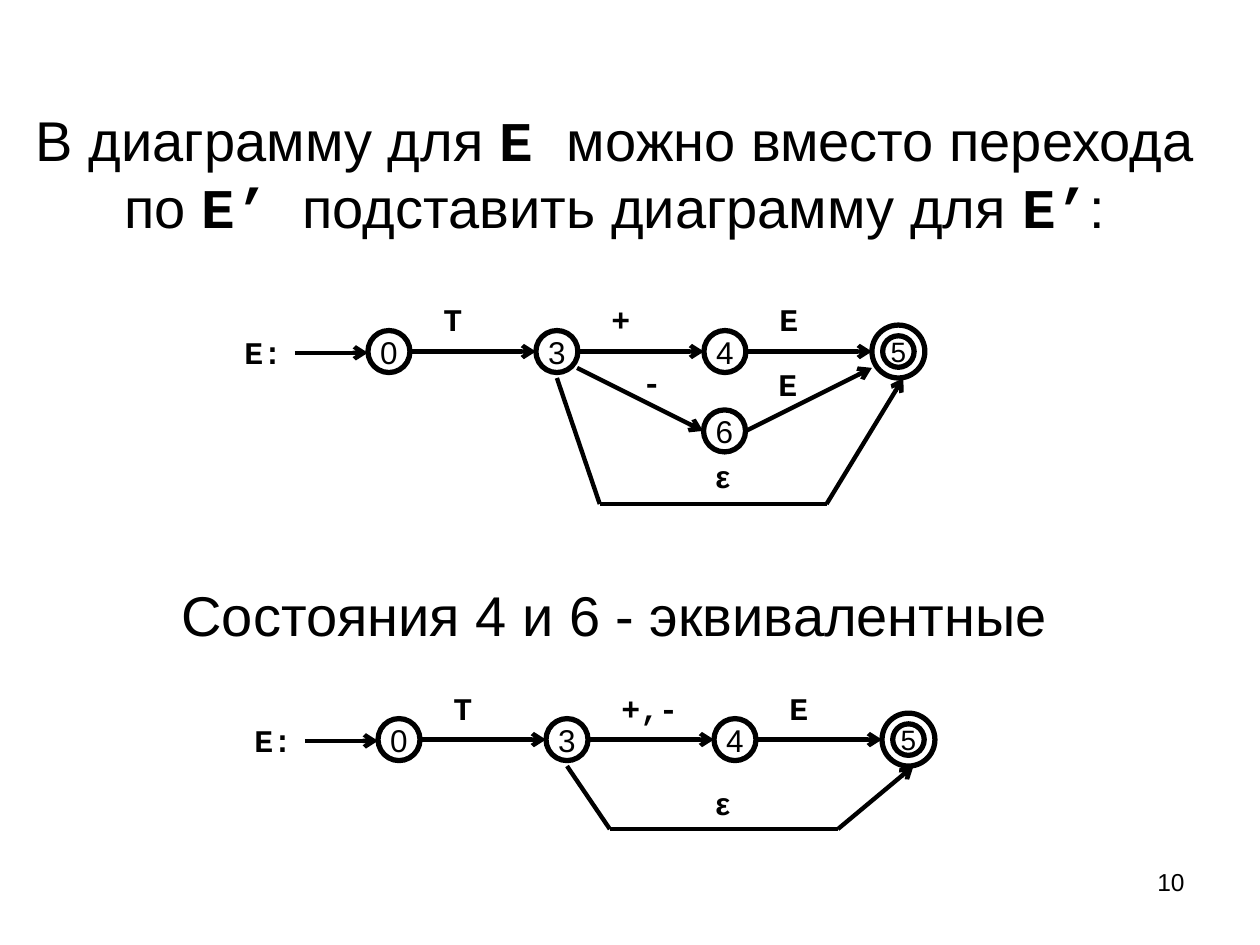
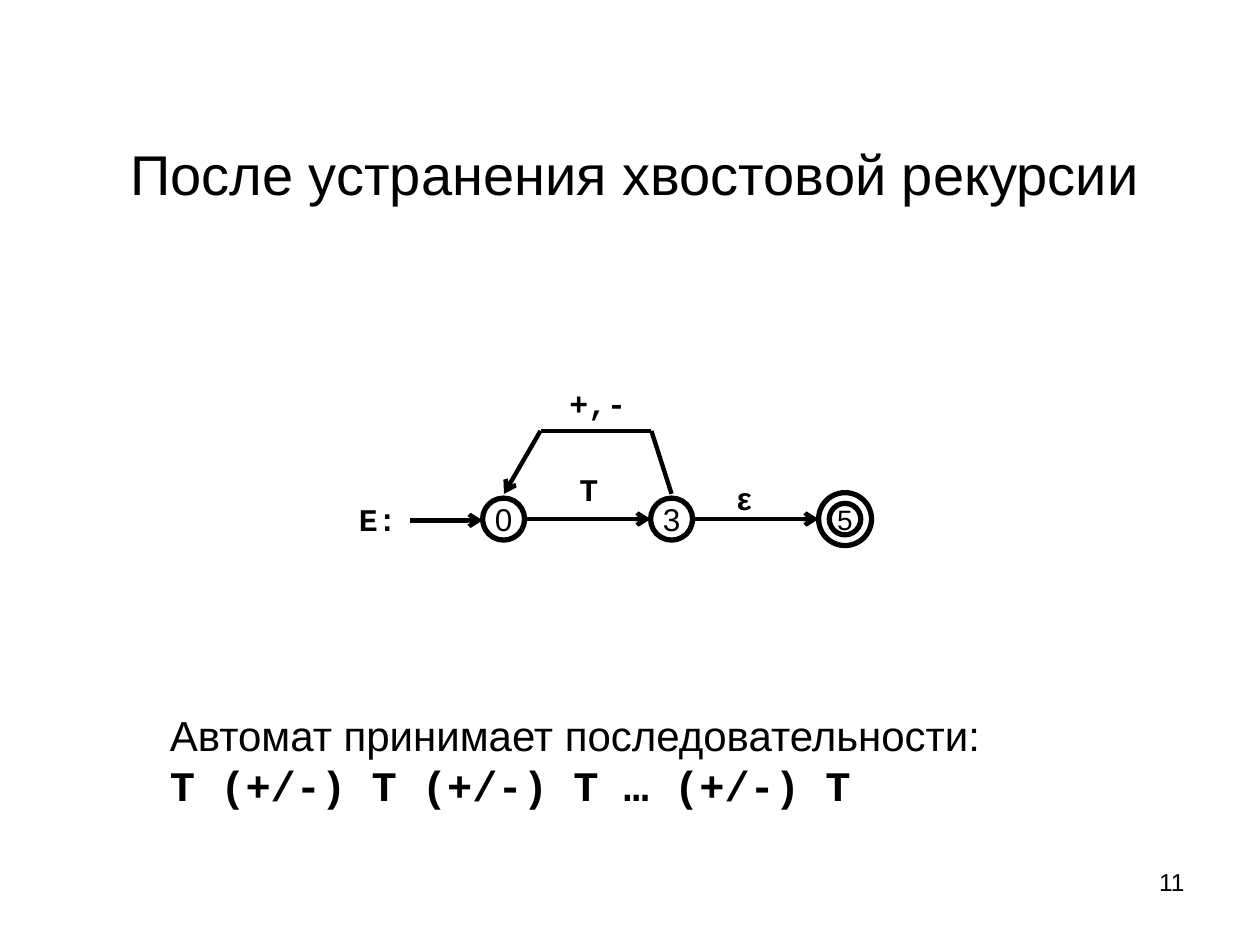
import itertools

import pptx
import pptx.dml.color
import pptx.enum.shapes
import pptx.enum.text
import pptx.oxml
import pptx.oxml.ns
import pptx.util

Inches = pptx.util.Inches
ALIGN = pptx.enum.text.PP_ALIGN
ANCHOR = pptx.enum.text.MSO_ANCHOR

COLORS = {"ink": "000000", "background": "FFFFFF"}
SANS = "Arial"
MONO = "Courier New"
STATE_SIZE = 1 / 3
FINAL_SIZE = 0.42
FINAL_INNER = 0.25
STATE_STEP = 4 / 3


def color(name):
    return pptx.dml.color.RGBColor.from_string(COLORS[name])


def add_run(paragraph, text, size, font=SANS, bold=False):
    run = paragraph.add_run()
    run.text = text
    run.font.size = pptx.util.Pt(size)
    run.font.name = font
    run.font.bold = bold
    run.font.color.rgb = color("ink")


def add_text(slide, box, lines, size, align=ALIGN.LEFT, anchor=ANCHOR.TOP, grow=False):
    shape = slide.shapes.add_textbox(*map(Inches, box))
    frame = shape.text_frame
    frame.word_wrap = True
    frame.vertical_anchor = anchor
    if grow:
        frame.auto_size = pptx.enum.text.MSO_AUTO_SIZE.SHAPE_TO_FIT_TEXT
    paragraph = frame.paragraphs[0]
    paragraph.alignment = align
    for index, line in enumerate(lines):
        if index:
            paragraph.add_line_break()
        for text, font in line:
            add_run(paragraph, text, size, font, font == MONO)


def add_heading(slide, left, top, runs):
    add_text(slide, (left, top, 9.42, 1.08), [runs], 32, ALIGN.CENTER, ANCHOR.MIDDLE)


def add_label(slide, left, top, text, width=0.42, font=MONO):
    shape = slide.shapes.add_textbox(*map(Inches, (left, top, width, 0.4)))
    frame = shape.text_frame
    frame.word_wrap = True
    frame.auto_size = pptx.enum.text.MSO_AUTO_SIZE.SHAPE_TO_FIT_TEXT
    add_run(frame.paragraphs[0], text, 18, font, True)


def add_circle(slide, center, axis, diameter, text="", size=18):
    radius = diameter / 2
    shape = slide.shapes.add_shape(
        pptx.enum.shapes.MSO_SHAPE.OVAL,
        *map(Inches, (center - radius, axis - radius, diameter, diameter)))
    shape.shadow.inherit = False
    shape.fill.background()
    shape.line.color.rgb = color("ink")
    shape.line.width = pptx.util.Pt(3)
    if text:
        frame = shape.text_frame
        frame.word_wrap = False
        frame.vertical_anchor = ANCHOR.MIDDLE
        frame.paragraphs[0].alignment = ALIGN.CENTER
        add_run(frame.paragraphs[0], text, size)


def add_line(slide, start, end, arrow=True):
    connector = slide.shapes.add_connector(
        pptx.enum.shapes.MSO_CONNECTOR.STRAIGHT, *map(Inches, (*start, *end)))
    connector.line.color.rgb = color("ink")
    connector.line.width = pptx.util.Pt(2.5)
    if arrow:
        tail = pptx.oxml.parse_xml(
            f'<a:tailEnd {pptx.oxml.ns.nsdecls("a")} type="arrow"/>')
        connector.line._get_or_add_ln().append(tail)
    effects = pptx.oxml.parse_xml(f'<a:effectLst {pptx.oxml.ns.nsdecls("a")}/>')
    connector._element.spPr.append(effects)


def add_detour(slide, points):
    for start, end in itertools.pairwise(points):
        add_line(slide, start, end, arrow=end == points[-1])


def add_automaton(slide, left, axis, states):
    add_label(slide, left - 1.08, axis - 0.2, "E:", 0.58)
    add_line(slide, (left - 0.58, axis + 0.01), (left, axis + 0.01))
    for index, state in enumerate(states):
        state_left = left + index * STATE_STEP
        add_circle(slide, state_left + STATE_SIZE / 2, axis, STATE_SIZE, state)
        add_line(slide, (state_left + STATE_SIZE, axis), (state_left + STATE_STEP, axis))
    final_center = left + len(states) * STATE_STEP + FINAL_SIZE / 2
    add_circle(slide, final_center, axis, FINAL_SIZE)
    add_circle(slide, final_center, axis, FINAL_INNER, "5", 16)


def add_transition_labels(slide, left, top, labels):
    for index, (text, width) in enumerate(labels):
        add_label(slide, left + 0.5 + index * STATE_STEP, top, text, width)


def add_slide(presentation, number):
    slide = presentation.slides.add_slide(presentation.slide_layouts[6])
    slide.background.fill.solid()
    slide.background.fill.fore_color.rgb = color("background")
    add_text(slide, (7.17, 6.83, 2.33, 0.52), [[(str(number), SANS)]], 14, ALIGN.RIGHT)
    return slide


def build_substitution_slide(presentation):
    slide = add_slide(presentation, 10)
    add_heading(slide, 0.17, 0.83, [
        ("В диаграмму для ", SANS), ("E ", MONO),
        ("можно вместо перехода по ", SANS), ("E’ ", MONO),
        ("подставить диаграмму для ", SANS), ("E’", MONO), (":", SANS)])
    add_automaton(slide, 2.92, 2.79, "034")
    add_transition_labels(slide, 2.92, 2.33, [("T", 0.42), ("+", 0.42), ("E", 0.58)])
    add_circle(slide, 5.75, 3.42, STATE_SIZE, "6")
    add_line(slide, (4.58, 2.92), (5.58, 3.42))
    add_line(slide, (5.92, 3.42), (6.92, 2.92))
    add_label(slide, 5, 2.83, "-")
    add_label(slide, 6.08, 2.85, "E", 0.58)
    add_detour(slide, [(4.42, 3), (4.76, 4), (6.56, 4), (7.17, 3)])
    add_label(slide, 5.58, 3.58, "ε", font=SANS)

    add_heading(slide, 0.17, 4.33, [("Состояния 4 и 6 - эквивалентные", SANS)])
    add_automaton(slide, 3, 5.87, "034")
    add_transition_labels(slide, 3, 5.42, [("T", 0.42), ("+,-", 0.67), ("E", 0.58)])
    add_detour(slide, [(4.5, 6.08), (4.84, 6.58), (6.65, 6.58), (7.25, 6.08)])
    add_label(slide, 5.58, 6.17, "ε", font=SANS)


def build_recursion_slide(presentation):
    slide = add_slide(presentation, 11)
    add_heading(slide, 0.33, 0.83, [("После устранения хвостовой рекурсии", SANS)])
    add_automaton(slide, 3.83, 4.12, "03")
    add_label(slide, 4.5, 3.68, "T")
    add_label(slide, 5.75, 3.75, "ε", font=SANS)
    add_detour(slide, [(5.33, 3.92), (5.17, 3.42), (4.29, 3.42), (4, 3.92)])
    add_label(slide, 4.42, 3, "+,-", 0.67)
    add_text(slide, (1.25, 5.58, 7.58, 0.9), [
        [("Автомат принимает последовательности:", SANS)],
        [("T (+/-) T (+/-) T … (+/-) T", MONO)]], 24, grow=True)


def main():
    presentation = pptx.Presentation()
    presentation.slide_width = Inches(10)
    presentation.slide_height = Inches(7.5)
    build_substitution_slide(presentation)
    build_recursion_slide(presentation)
    presentation.save("out.pptx")


if __name__ == "__main__":
    main()
